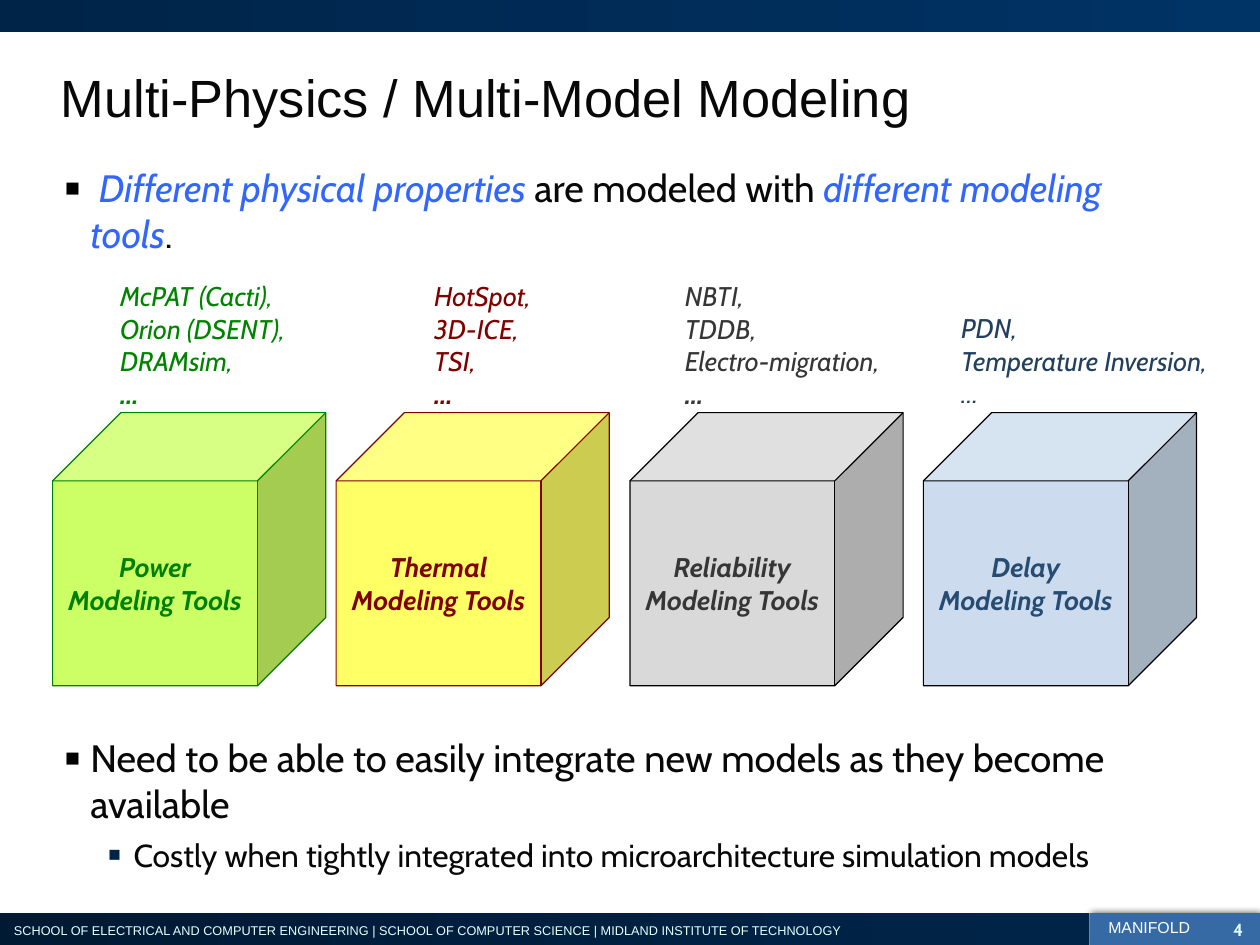
"""Build the slide on multi-physics and multi-model modeling."""
import lxml.etree
import pptx
import pptx.dml.color
import pptx.enum.shapes
import pptx.enum.text
import pptx.oxml.ns
import pptx.util

Cm = pptx.util.Cm
Align = pptx.enum.text.PP_ALIGN
Anchor = pptx.enum.text.MSO_ANCHOR
Preset = pptx.enum.shapes.MSO_SHAPE

WIDTH, HEIGHT = 28, 21
INK, ACCENT, PALE, NAVY = "080808", "3366FF", "E5FFFF", "002448"
TITLE = "Multi-Physics / Multi-Model Modeling"
INTRO = [
    {"runs": [(" ", {}),
              ("Different physical properties", {"color": ACCENT, "italic": True}),
              (" are modeled with ", {}),
              ("different modeling tools", {"color": ACCENT, "italic": True}),
              (".", {})], "size": 24},
]
OUTLOOK = [
    {"runs": [("Need to be able to easily integrate new models as they become available", {})],
     "size": 24},
    {"runs": [("Costly when tightly integrated into microarchitecture simulation models", {})],
     "size": 20, "indent": 1.52, "bullet": NAVY, "before": 5.8},
]
TOOLS = [
    {"name": "Power Modeling Tools", "left": 1.17, "fill": "CCFF66", "line": "008000",
     "ink": "008000", "examples": ["McPAT (Cacti),", "Orion (DSENT),", "DRAMsim,"],
     "label": (2.39, 6.07, 4.7, 3.2), "label_ink": "008400", "bold_dots": True},
    {"name": "Thermal Modeling Tools", "left": 7.47, "fill": "FFFF66", "line": "800000",
     "ink": "800000", "examples": ["HotSpot,", "3D-ICE,", "TSI,"],
     "label": (9.37, 6.07, 2.9, 3.2), "label_ink": "800000", "bold_dots": True},
    {"name": "Reliability Modeling Tools", "left": 14, "fill": "D9D9D9", "line": "000000",
     "ink": "363636", "examples": ["NBTI,", "TDDB,", "Electro-migration,"],
     "label": (14.94, 6.07, 5.31, 3.2), "label_ink": "363636", "bold_dots": True},
    {"name": "Delay Modeling Tools", "left": 20.52, "fill": "CCDCEE", "line": "000000",
     "ink": "264C73", "examples": ["PDN,", "Temperature Inversion,"],
     "label": (21.08, 6.78, 6.78, 2.46), "label_ink": "203F61", "bold_dots": False},
]
CUBE_TOP, CUBE_SIZE = 9.17, 6.07
SCHOOLS = ("SCHOOL OF ELECTRICAL AND COMPUTER ENGINEERING | SCHOOL OF COMPUTER SCIENCE | "
           "MIDLAND INSTITUTE OF TECHNOLOGY")
PROJECT, PAGE = "MANIFOLD", "4"
BAND = 0.71
FOOTER_TOP, FOOTER_SPLIT = HEIGHT - BAND, 24.21


def rgb(value):
    return pptx.dml.color.RGBColor.from_string(value)


def add_xml(parent, tag, **attributes):
    return lxml.etree.SubElement(parent, pptx.oxml.ns.qn(tag), attributes)


def write(paragraph, text, size=17, color=INK, font="Cabin", bold=False, italic=False,
          align=Align.LEFT):
    paragraph.alignment = align
    run = paragraph.add_run()
    run.text = text
    run.font.size = pptx.util.Pt(size)
    run.font.name = font
    run.font.bold = bold
    run.font.italic = italic
    run.font.color.rgb = rgb(color)


def prepare(shape, anchor=Anchor.TOP, inset=0.28):
    frame = shape.text_frame
    frame.word_wrap = True
    frame.vertical_anchor = anchor
    frame.margin_left = frame.margin_right = Cm(inset)
    frame.margin_top = frame.margin_bottom = Cm(0.15)
    return frame


def add_text(slide, box, inset=0.28):
    return prepare(slide.shapes.add_textbox(*map(Cm, box)), inset=inset)


def add_block(slide, preset, box, colors, line=None):
    block = slide.shapes.add_shape(preset, *map(Cm, box))
    block.shadow.inherit = False
    if len(colors) == 1:
        block.fill.solid()
        block.fill.fore_color.rgb = rgb(colors[0])
    else:
        block.fill.gradient()
        block.fill.gradient_angle = 0
        for stop, color in zip(block.fill.gradient_stops, colors):
            stop.color.rgb = rgb(color)
    if line:
        block.line.color.rgb = rgb(line)
        block.line.width = pptx.util.Pt(0.75)
    else:
        block.line.fill.background()
    return block


def add_bullets(slide, box, items):
    frame = add_text(slide, box)
    for index, item in enumerate(items):
        paragraph = frame.add_paragraph() if index else frame.paragraphs[0]
        paragraph.space_before = pptx.util.Pt(item.get("before", 0))
        for text, style in item["runs"]:
            write(paragraph, text, size=item["size"], **style)
        properties = paragraph._p.get_or_add_pPr()
        properties.set("marL", str(Cm(item.get("indent", 0.56))))
        properties.set("indent", str(-Cm(0.56)))
        add_xml(add_xml(properties, "a:buClr"), "a:srgbClr", val=item.get("bullet", "000000"))
        add_xml(properties, "a:buSzPct", val="65000")
        add_xml(properties, "a:buFont", typeface="Arial")
        add_xml(properties, "a:buChar", char="■")


def add_tool(slide, tool):
    cube = add_block(slide, Preset.CUBE, (tool["left"], CUBE_TOP, CUBE_SIZE, CUBE_SIZE),
                     [tool["fill"]], tool["line"])
    write(prepare(cube, Anchor.MIDDLE).paragraphs[0], tool["name"], color=tool["ink"],
          bold=True, italic=True, align=Align.CENTER)
    frame = add_text(slide, tool["label"])
    for index, example in enumerate(tool["examples"] + ["…"]):
        paragraph = frame.add_paragraph() if index else frame.paragraphs[0]
        write(paragraph, example, color=tool["label_ink"], italic=True,
              bold=example == "…" and tool["bold_dots"])


def add_bands(slide):
    project_panel = add_block(slide, Preset.RECTANGLE,
                              (FOOTER_SPLIT, FOOTER_TOP, WIDTH - FOOTER_SPLIT, BAND), ["366AA4"])
    effects = project_panel._element.spPr.find(pptx.oxml.ns.qn("a:effectLst"))
    shadow = add_xml(effects, "a:outerShdw", blurRad="63500", dist="12700", dir="0")
    add_xml(add_xml(shadow, "a:srgbClr", val="000000"), "a:alpha", val="75000")
    add_block(slide, Preset.RECTANGLE, (0, FOOTER_TOP, FOOTER_SPLIT, BAND), ["001A34", NAVY])
    add_block(slide, Preset.RECTANGLE, (0, 0, WIDTH, BAND), [NAVY, "003366"])
    write(add_text(slide, (0.03, 20.35, 20, 0.64)).paragraphs[0], SCHOOLS,
          size=8, color=PALE, font="Arial")
    write(add_text(slide, (24.38, 20.25, 2.4, 0.66), inset=0.25).paragraphs[0], PROJECT,
          size=10, color="FFFFFF", font="Arial")
    write(add_text(slide, (26.44, 20.27, 1.19, 0.66), inset=0).paragraphs[0], PAGE,
          size=11, color=PALE, bold=True, align=Align.RIGHT)


def main():
    deck = pptx.Presentation()
    deck.slide_width, deck.slide_height = Cm(WIDTH), Cm(HEIGHT)
    slide = deck.slides.add_slide(deck.slide_layouts[5])
    add_bands(slide)
    title = slide.shapes.title
    title.left, title.top, title.width, title.height = map(Cm, (1.07, 0.69, 26.04, 2.9))
    write(prepare(title, Anchor.MIDDLE).paragraphs[0], TITLE, size=33, font="Arial")
    add_bullets(slide, (1.17, 3.51, 25.43, 2.4), INTRO)
    add_bullets(slide, (1.17, 16.18, 25.43, 3.6), OUTLOOK)
    for tool in TOOLS:
        add_tool(slide, tool)
    deck.save("out.pptx")


if __name__ == "__main__":
    main()
